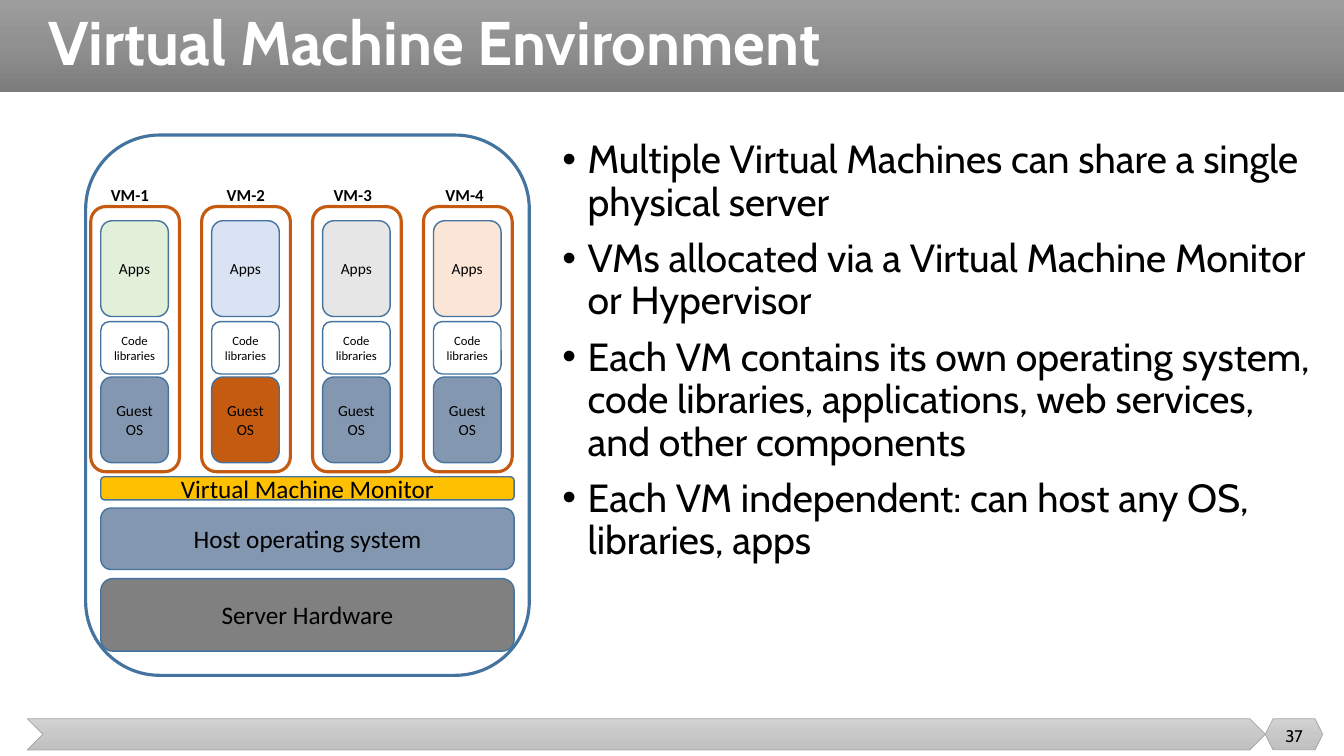
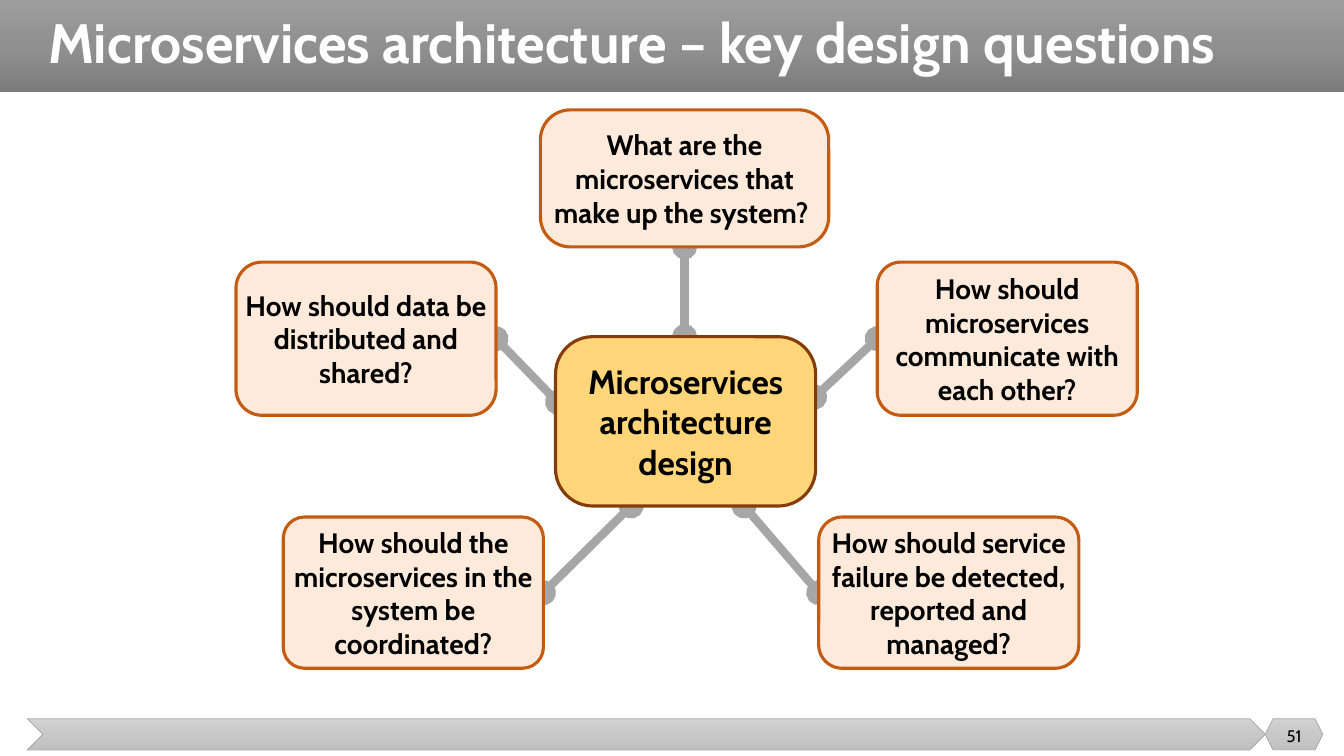
from copy import deepcopy

from lxml.etree import SubElement
from pptx import Presentation
from pptx.dml.color import RGBColor
from pptx.enum.shapes import MSO_CONNECTOR, MSO_SHAPE
from pptx.enum.text import MSO_ANCHOR, MSO_AUTO_SIZE, PP_ALIGN
from pptx.oxml.ns import qn
from pptx.util import Inches, Pt

HEADING_FONT, DIAGRAM_FONT = "Cabin", "Calibri"
BLACK, WHITE = "000000", "FFFFFF"
TITLE_BAND = ("9D9D9D", "909090", "7C7C7C")
FOOTER_BAND = ("D2D2D2", "C8C8C8", "C0C0C0")
FOOTER_EDGE, LINK_GRAY = "A5A5A5", "A6A6A6"
BLUE_EDGE, SLATE, SERVER_GRAY = "43739E", "8497B0", "808080"
ORANGE, AMBER = "C55A11", "FFC000"
HUB_FILL, HUB_EDGE, QUESTION_FILL = "FFD579", "843C0B", "FDEADA"
TOP, LEFT, BOTTOM, RIGHT = range(4)

VMS = [
    ("VM-1", 0.1, "E2F0D9", SLATE),
    ("VM-2", 0.15, "DAE3F3", ORANGE),
    ("VM-3", 0.11, "E7E6E6", SLATE),
    ("VM-4", 0.12, "FBE5D6", SLATE),
]
HOST_LAYERS = [
    ("Server Hardware", 4.4, 0.72, SERVER_GRAY),
    ("Host operating system", 3.7, 0.61, SLATE),
    ("Virtual Machine Monitor", 3.39, 0.23, AMBER),
]
VM_POINTS = [
    "Multiple Virtual Machines can share a single physical server",
    "VMs allocated via a Virtual Machine Monitor or Hypervisor",
    "Each VM contains its own operating system, code libraries, "
    "applications, web services, and other components",
    "Each VM independent: can host any OS, libraries, apps",
]
QUESTIONS = [
    ("How should microservices communicate with each other?",
     (3.19, -0.74, 2.58, 1.52), 0.155, LEFT, (2.57, 0.6)),
    ("How should service failure be detected, reported and managed?",
     (2.61, 1.79, 2.58, 1.5), 0.155, LEFT, (1.87, 1.68)),
    ("How should data be distributed and shared?",
     (-3.17, -0.74, 2.58, 1.52), 0.17, RIGHT, (0.02, 0.65)),
    ("What are the microservices that make up the system? ",
     (-0.15, -2.25, 2.86, 1.36), 0.219, BOTTOM, (1.28, 0)),
    ("How should the microservices in the system be coordinated?",
     (-2.7, 1.79, 2.58, 1.5), 0.139, RIGHT, (0.75, 1.68)),
]


def color(hex_code):
    return RGBColor.from_string(hex_code)


def inches(box):
    return [Inches(length) for length in box]


def format_text(frame, size, font, bold=False, ink=BLACK, align=PP_ALIGN.CENTER):
    for paragraph in frame.paragraphs:
        paragraph.alignment = align
        for run in paragraph.runs:
            run.font.size, run.font.name, run.font.bold = Pt(size), font, bold
            run.font.color.rgb = color(ink)


def add_block(slide, box, fill, edge, weight, kind=MSO_SHAPE.ROUNDED_RECTANGLE):
    block = slide.shapes.add_shape(kind, *inches(box))
    block.shadow.inherit = False
    if isinstance(fill, str):
        block.fill.solid()
        block.fill.fore_color.rgb = color(fill)
    else:
        block.fill.gradient()
        block.fill.gradient_angle = 270
        stops = block.element.spPr.find(".//" + qn("a:gsLst"))
        stops.insert(1, deepcopy(stops[0]))
        for index, stop in enumerate(block.fill.gradient_stops):
            stop.position = index / 2
            stop.color.rgb = color(fill[index])
    if edge:
        block.line.color.rgb = color(edge)
        block.line.width = Pt(weight)
    else:
        block.line.fill.background()
    return block


def add_layer(slide, box, label, size, fill):
    layer = add_block(slide, box, fill, BLUE_EDGE, 1)
    frame = layer.text_frame
    frame.text = label
    frame.word_wrap = True
    frame.vertical_anchor = MSO_ANCHOR.MIDDLE
    format_text(frame, size, DIAGRAM_FONT)


def add_bands(slide, layout):
    bands = [
        add_block(slide, (0, 0, 13.33, 0.91), TITLE_BAND, None, 0, MSO_SHAPE.RECTANGLE),
        add_block(slide, (0.27, 7.13, 12.28, 0.31), FOOTER_BAND, FOOTER_EDGE, 0.5,
                  MSO_SHAPE.CHEVRON),
        add_block(slide, (12.55, 7.13, 0.57, 0.31), FOOTER_BAND, FOOTER_EDGE, 0.5,
                  MSO_SHAPE.HEXAGON),
    ]
    for position, band in enumerate(bands, 2):
        layout.shapes.element.insert(position, band.element)


def add_heading(slide, heading, size, number):
    title = slide.shapes.title
    title.left, title.top, title.width, title.height = inches((0.38, 0, 12.74, 0.91))
    frame = title.text_frame
    frame.text = heading
    frame.auto_size = MSO_AUTO_SIZE.NONE
    frame.vertical_anchor = MSO_ANCHOR.MIDDLE
    frame.paragraphs[0].line_spacing = 0.9
    format_text(frame, size, HEADING_FONT, True, WHITE, PP_ALIGN.LEFT)

    page = slide.shapes.add_textbox(*inches((12.55, 7.1, 0.57, 0.4))).text_frame
    page.text = number
    page.word_wrap = True
    page.vertical_anchor = MSO_ANCHOR.MIDDLE
    format_text(page, 12, HEADING_FONT)


def add_bullets(slide, box, points):
    frame = slide.shapes.add_textbox(*inches(box)).text_frame
    frame.word_wrap = True
    frame.text = "\n".join(points)
    format_text(frame, 28, HEADING_FONT, align=PP_ALIGN.LEFT)
    for paragraph in frame.paragraphs:
        paragraph.line_spacing = 0.9
        paragraph.space_before = Pt(10)
        properties = paragraph._p.get_or_add_pPr()
        properties.set("marL", str(Inches(0.25)))
        properties.set("indent", str(-Inches(0.25)))
        SubElement(properties, qn("a:buFont"), typeface="Arial")
        SubElement(properties, qn("a:buChar"), char="•")


def add_vm(slide, left, top, name, name_offset, apps_fill, os_fill):
    add_block(slide, (left, top, 0.88, 2.63), WHITE, ORANGE, 2.25)
    for label, offset, height, size, fill in (
        ("Guest OS", 1.69, 0.85, 11, os_fill),
        ("Code libraries", 1.14, 0.52, 9, WHITE),
        ("Apps", 0.14, 0.95, 11, apps_fill),
    ):
        add_layer(slide, (left + 0.1, top + offset, 0.67, height), label, size, fill)
    caption = slide.shapes.add_textbox(
        *inches((left + name_offset, top - 0.27, 0.59, 0.3))).text_frame
    caption.text = name
    caption.word_wrap = False
    format_text(caption, 12, DIAGRAM_FONT, True, align=PP_ALIGN.LEFT)


def add_server(slide, box):
    left, top, width, _ = box
    add_block(slide, box, WHITE, BLUE_EDGE, 2.25)
    for label, offset, height, fill in HOST_LAYERS:
        add_layer(slide, (left + 0.15, top + offset, width - 0.3, height), label, 18, fill)
    for column, vm in enumerate(VMS):
        add_vm(slide, left + 0.05 + 1.1 * column, top + 0.71, *vm)


def add_topic(slide, box, text, size, fill, edge, roundness):
    topic = add_block(slide, box, fill, edge, 2.25)
    topic.adjustments[0] = roundness
    frame = topic.text_frame
    frame.text = text
    frame.word_wrap = True
    frame.vertical_anchor = MSO_ANCHOR.MIDDLE
    frame.margin_left = frame.margin_right = frame.margin_top = frame.margin_bottom = 0
    format_text(frame, size, HEADING_FONT, True)
    return topic


def add_link(slide, hub, question, site, end):
    link = slide.shapes.add_connector(MSO_CONNECTOR.STRAIGHT, 0, 0, *inches(end))
    link.begin_connect(question, site)
    link.line.color.rgb = color(LINK_GRAY)
    link.line.width = Pt(6)
    properties = link.element.spPr
    outline = properties.find(qn("a:ln"))
    for tip in ("a:headEnd", "a:tailEnd"):
        SubElement(outline, qn(tip), type="oval")
    SubElement(properties, qn("a:effectLst"))
    hub.element.addprevious(link.element)


def add_question_map(slide, hub_box):
    left, top = hub_box[:2]
    hub = add_topic(slide, hub_box, "Microservices architecture\ndesign", 24,
                    HUB_FILL, HUB_EDGE, 0.22)
    for text, (dx, dy, width, height), roundness, site, (end_x, end_y) in QUESTIONS:
        question = add_topic(slide, (left + dx, top + dy, width, height), text, 20,
                             QUESTION_FILL, ORANGE, roundness)
        add_link(slide, hub, question, site, (left + end_x, top + end_y))


def main():
    deck = Presentation()
    deck.slide_width, deck.slide_height = Inches(13.33), Inches(7.5)
    title_only = deck.slide_layouts[5]

    vm_slide = deck.slides.add_slide(title_only)
    add_bands(vm_slide, title_only)
    add_heading(vm_slide, "Virtual Machine Environment", 44, "37")
    add_bullets(vm_slide, (5.48, 1.34, 7.64, 5.42), VM_POINTS)
    add_server(vm_slide, (0.85, 1.34, 4.4, 5.36))

    design_slide = deck.slides.add_slide(title_only)
    add_heading(design_slide, "Microservices architecture – key design questions", 39.6, "51")
    add_question_map(design_slide, (5.51, 3.34, 2.58, 1.68))

    deck.save("out.pptx")


if __name__ == "__main__":
    main()
